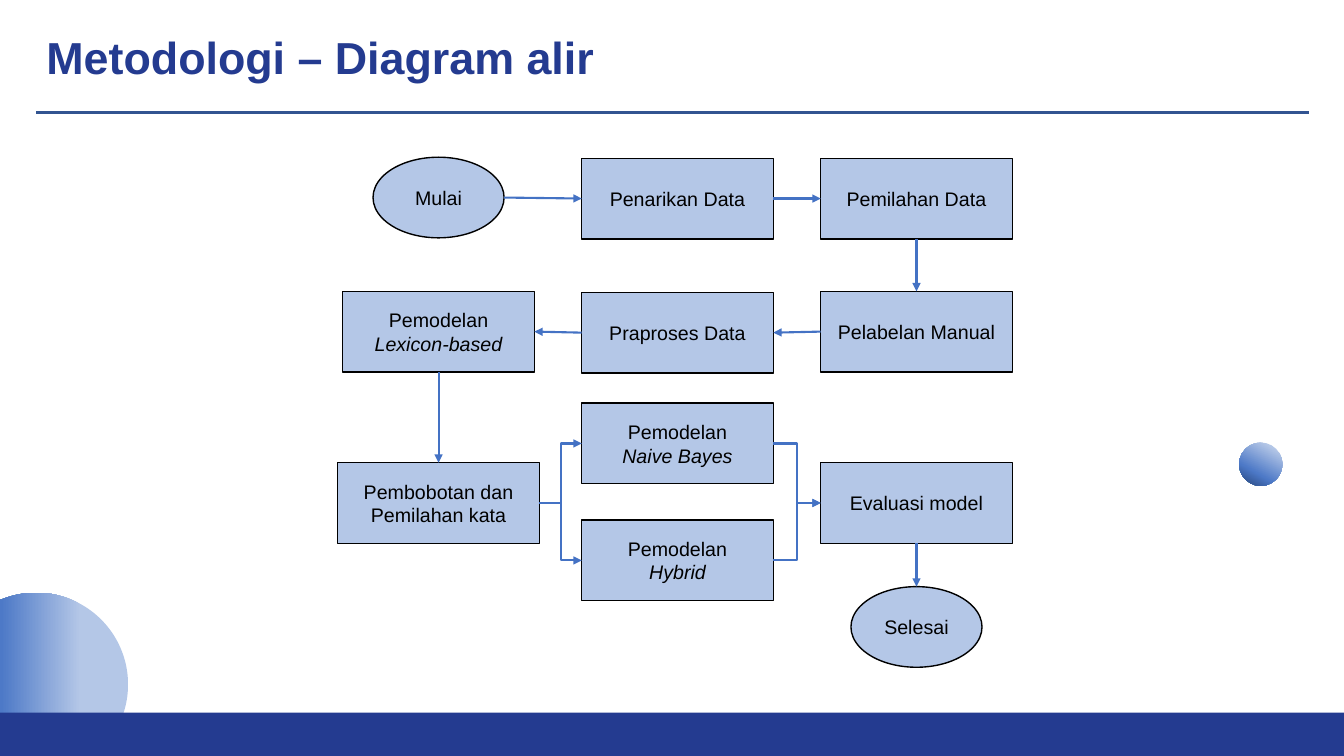
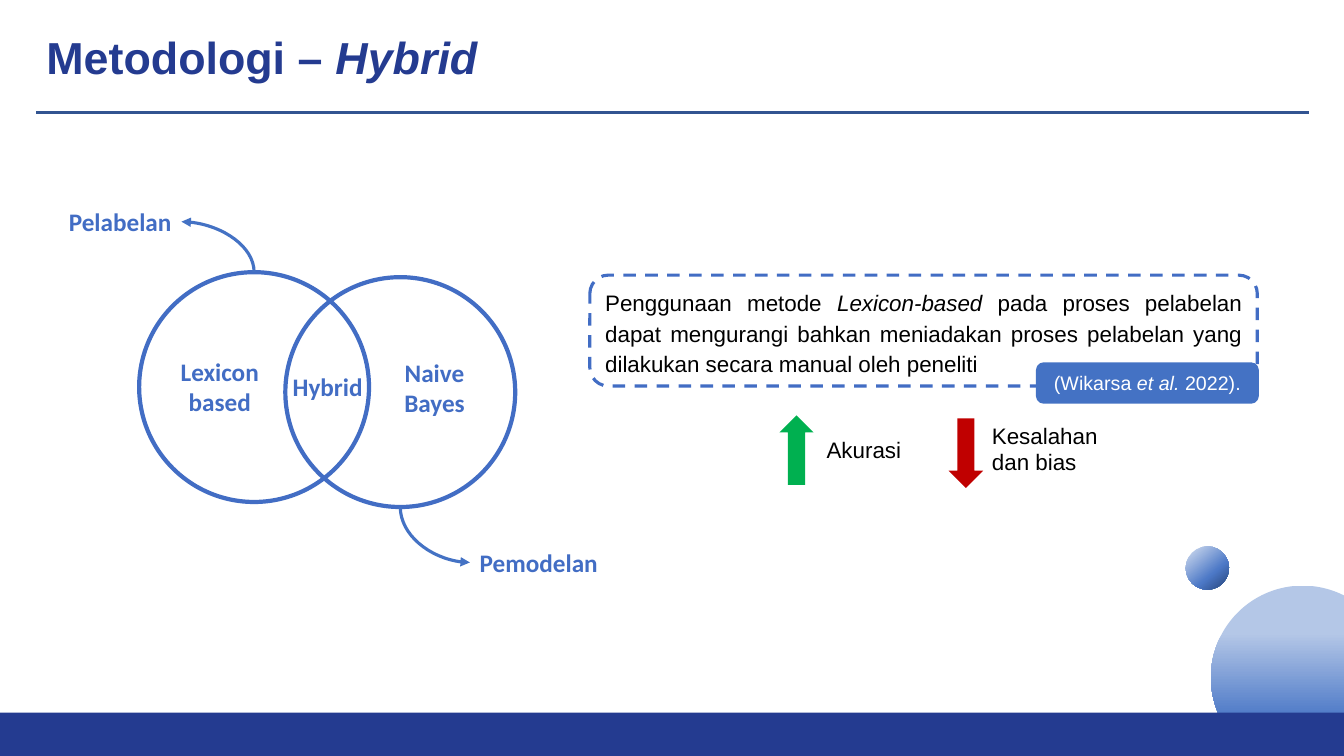
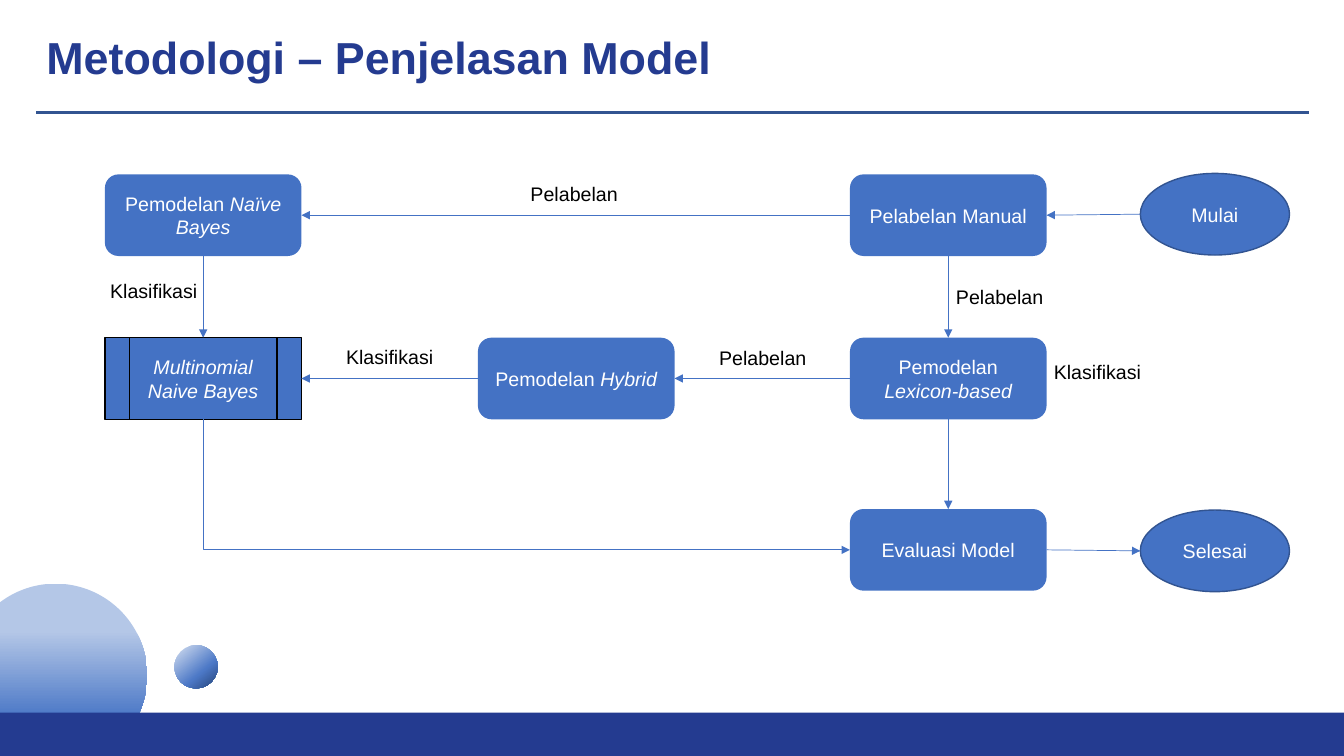
from copy import deepcopy

from pptx import Presentation
from pptx.dml.color import RGBColor
from pptx.enum.dml import MSO_LINE
from pptx.enum.shapes import MSO_CONNECTOR, MSO_SHAPE
from pptx.enum.text import MSO_ANCHOR, MSO_AUTO_SIZE, PP_ALIGN
from pptx.oxml.ns import qn
from pptx.oxml.xmlchemy import OxmlElement
from pptx.util import Inches, Pt

COLORS = {
    "navy": "243B90", "rule": "325491", "blue": "4472C4", "venn": "426DC4",
    "pale": "B4C7E7", "mid": "4D79C7", "deep": "264478",
    "black": "000000", "white": "FFFFFF", "green": "00B050", "red": "C00000",
}
RGB = {name: RGBColor.from_string(value) for name, value in COLORS.items()}

# Side of a shape: connection index, then fractions of width and height
SIDES = {"top": (0, 0.5, 0), "left": (1, 0, 0.5),
         "bottom": (2, 0.5, 1), "right": (3, 1, 0.5)}


def write(shape, text, size=14, color="black", font="Arial", bold=False,
          align=PP_ALIGN.CENTER, anchor=MSO_ANCHOR.MIDDLE, spacing=None):
    """Fill a shape with text; *asterisks* mark italics, newlines paragraphs."""
    frame = shape.text_frame
    frame.word_wrap = True
    frame.auto_size = MSO_AUTO_SIZE.NONE
    frame.vertical_anchor = anchor
    italic = False
    for number, content in enumerate(text.split("\n")):
        para = frame.add_paragraph() if number else frame.paragraphs[0]
        para.alignment = align
        if spacing:
            para.line_spacing = spacing
        for index, piece in enumerate(content.split("*")):
            if piece:
                span = para.add_run()
                span.text = piece
                span.font.size = Pt(size)
                span.font.name = font
                span.font.bold = bold
                span.font.italic = index % 2 == 1
                span.font.color.rgb = RGB[color]


def add_box(page, kind, place, text="", fill=None, line=None, weight=1, **style):
    """Add a preset shape, or a text box when kind is None."""
    place = [Inches(value) for value in place]
    if kind is None:
        box = page.shapes.add_textbox(*place)
    else:
        box = page.shapes.add_shape(kind, *place)
        box.shadow.inherit = False
        if fill:
            box.fill.solid()
            box.fill.fore_color.rgb = RGB[fill]
        else:
            box.fill.background()
        if line:
            box.line.color.rgb = RGB[line]
            box.line.width = Pt(weight)
        else:
            box.line.fill.background()
    if text:
        write(box, text, **style)
    return box


deck = Presentation()
deck.slide_width = Inches(13.33)
deck.slide_height = Inches(7.5)
layout = deck.slide_layouts[5]
layout_title = layout.placeholders[0]
layout_title.left, layout_title.top = Inches(0.36), Inches(0.24)
layout_title.width, layout_title.height = Inches(12.62), Inches(0.64)

# Shared frame: title, decorative balls (left, top, stops, angle), rule, band
frames = [
    ("Metodologi – Diagram alir",
     (-0.55, 5.88, (26, 69, 100), 180), (12.29, 4.39, (16, 67, 100), 120)),
    ("Metodologi – *Hybrid*",
     (12.01, 5.81, (26, 72, 100), 90), (11.76, 5.42, (16, 63, 100), 50)),
    ("Metodologi – Penjelasan Model",
     (-0.36, 5.79, (26, 72, 100), 90), (1.73, 6.4, (16, 63, 100), 50)),
]
pages = []
for title, big_ball, small_ball in frames:
    page = deck.slides.add_slide(layout)
    write(page.shapes.title, title, size=32, color="navy", bold=True,
          align=PP_ALIGN.LEFT, anchor=MSO_ANCHOR.TOP)
    for (left, top, positions, angle), size in ((big_ball, 1.82), (small_ball, 0.43)):
        ball = add_box(page, MSO_SHAPE.OVAL, (left, top, size, size))
        ball.fill.gradient()
        ball.fill.gradient_angle = 360 - angle
        stop_list = ball.element.spPr.find(".//" + qn("a:gsLst"))
        stop_list.append(deepcopy(stop_list[-1]))
        for stop, position, color in zip(ball.fill.gradient_stops, positions,
                                         ("pale", "mid", "deep")):
            stop.position = position / 100
            stop.color.rgb = RGB[color]
    rule = page.shapes.add_connector(MSO_CONNECTOR.STRAIGHT, Inches(0.36), Inches(1.12),
                                     Inches(12.98), Inches(1.12))
    rule.line.color.rgb = RGB["rule"]
    rule.line.width = Pt(2.25)
    rule.element.spPr.append(OxmlElement("a:effectLst"))
    add_box(page, MSO_SHAPE.RECTANGLE, (0, 7.07, 13.33, 0.43), fill="navy")
    pages.append(page)
flow_page, hybrid_page, model_page = pages

# Slide 1: flow chart, centred on three columns
columns = (4.35, 6.72, 9.09)
flow_steps = [
    ("start", 0, 1.56, "Mulai"),
    ("collect", 1, 1.57, "Penarikan Data"),
    ("select", 2, 1.57, "Pemilahan Data"),
    ("label", 2, 2.89, "Pelabelan Manual"),
    ("prepare", 1, 2.9, "Praproses Data"),
    ("lexicon", 0, 2.89, "Pemodelan *Lexicon-based*"),
    ("weight", 0, 4.59, "Pembobotan dan\nPemilahan kata"),
    ("bayes", 1, 4, "Pemodelan\n*Naive Bayes*"),
    ("hybrid", 1, 5.16, "Pemodelan\n*Hybrid*"),
    ("evaluate", 2, 4.59, "Evaluasi model"),
    ("end", 2, 5.82, "Selesai"),
]
flow = {}
for name, column, top, text in flow_steps:
    kind = MSO_SHAPE.OVAL if name in ("start", "end") else MSO_SHAPE.RECTANGLE
    width = {"start": 1.3, "end": 1.3, "weight": 2}.get(name, 1.9)
    flow[name] = add_box(flow_page, kind, (columns[column] - width / 2, top, width, 0.8),
                         text, fill="pale", line="black")

# Slide 2: overlapping circles with labels
venn = {}
for name, left, top in (("lexicon", 1.38, 2.7), ("bayes", 2.83, 2.75)):
    venn[name] = add_box(hybrid_page, MSO_SHAPE.OVAL, (left, top, 2.28, 2.28),
                         line="venn", weight=3)
venn_labels = [
    ("lexicon text", 1.36, 3.48, 0.71, "Lexicon\nbased", PP_ALIGN.CENTER),
    ("bayes text", 3.49, 3.49, 0.71, "Naive\nBayes", PP_ALIGN.CENTER),
    ("hybrid text", 2.43, 3.63, 0.4, "Hybrid", PP_ALIGN.CENTER),
    ("labelling", 0.16, 2, 0.4, "Pelabelan", PP_ALIGN.RIGHT),
    ("modelling", 4.66, 5.38, 0.4, "Pemodelan", PP_ALIGN.LEFT),
]
for name, left, top, height, text, align in venn_labels:
    venn[name] = add_box(hybrid_page, None, (left, top, 1.64, height), text, size=18,
                         color="venn", font="Calibri", bold=True, align=align)

# Slide 2: statement, citation and effects
statement = add_box(
    hybrid_page, MSO_SHAPE.ROUNDED_RECTANGLE, (5.85, 2.73, 6.62, 1.1),
    "Penggunaan metode *Lexicon-based* pada proses pelabelan dapat mengurangi bahkan "
    "meniadakan proses pelabelan yang dilakukan secara manual oleh peneliti",
    line="venn", weight=2.25, size=16, align=PP_ALIGN.JUSTIFY,
    anchor=MSO_ANCHOR.TOP, spacing=1.14)
statement.line.dash_style = MSO_LINE.DASH
citation = add_box(hybrid_page, MSO_SHAPE.ROUNDED_RECTANGLE, (10.29, 3.61, 2.18, 0.38),
                   "(Wikarsa *et al.* 2022).", fill="blue", line="blue", weight=2.25,
                   color="white")
citation.text_frame.margin_left = citation.text_frame.margin_right = Inches(0.05)
effects = [
    (MSO_SHAPE.UP_ARROW, 7.73, 4.12, "green", (8.1, 4.26, 1.12, 0.41), "Akurasi"),
    (MSO_SHAPE.DOWN_ARROW, 9.41, 4.15, "red", (9.74, 4.13, 1.64, 0.64),
     "Kesalahan dan bias"),
]
for kind, left, top, color, place, text in effects:
    add_box(hybrid_page, kind, (left, top, 0.34, 0.69), fill=color)
    add_box(hybrid_page, None, place, text, size=16, align=PP_ALIGN.LEFT)

# Slide 3: model steps
model_steps = [
    ("label", 8.43, 1.73, "Pelabelan Manual"),
    ("lexicon", 8.43, 3.35, "Pemodelan *Lexicon-based*"),
    ("evaluate", 8.43, 5.05, "Evaluasi Model"),
    ("hybrid", 4.74, 3.35, "Pemodelan *Hybrid*"),
    ("bayes", 1.04, 1.73, "Pemodelan *Naïve Bayes*"),
    ("multinomial", 1.04, 3.35, "*Multinomial Naive Bayes*"),
    ("start", 11.31, 1.72, "Mulai"),
    ("end", 11.31, 5.06, "Selesai"),
]
model_looks = {
    "multinomial": (MSO_SHAPE.FLOWCHART_PREDEFINED_PROCESS, 1.95, "black"),
    "start": (MSO_SHAPE.OVAL, 1.48, "rule"),
    "end": (MSO_SHAPE.OVAL, 1.48, "rule"),
}
model = {}
for name, left, top, text in model_steps:
    kind, width, line = model_looks.get(name, (MSO_SHAPE.ROUNDED_RECTANGLE, 1.95, None))
    model[name] = add_box(model_page, kind, (left, top, width, 0.81), text,
                          fill="blue", line=line, color="white")
for left, top, text in ((4.72, 1.75, "Pelabelan"), (8.94, 2.77, "Pelabelan"),
                        (6.59, 3.38, "Pelabelan"), (9.91, 3.52, "Klasifikasi"),
                        (2.89, 3.37, "Klasifikasi"), (0.55, 2.71, "Klasifikasi")):
    add_box(model_page, None, (left, top, 1.95, 0.34), text)

# Arrows: route, from shape and side, to shape and side
flow_arrows = [
    ("straight", "start", "right", "collect", "left"),
    ("straight", "collect", "right", "select", "left"),
    ("straight", "select", "bottom", "label", "top"),
    ("straight", "label", "left", "prepare", "right"),
    ("straight", "prepare", "left", "lexicon", "right"),
    ("straight", "lexicon", "bottom", "weight", "top"),
    ("elbow", "weight", "right", "bayes", "left"),
    ("elbow", "weight", "right", "hybrid", "left"),
    ("elbow", "bayes", "right", "evaluate", "left"),
    ("elbow", "hybrid", "right", "evaluate", "left"),
    ("straight", "evaluate", "bottom", "end", "top"),
]
venn_arrows = [
    ("curve", "lexicon", "top", "labelling", "right"),
    ("curve", "bayes", "bottom", "modelling", "left"),
]
model_arrows = [
    ("straight", "start", "left", "label", "right"),
    ("straight", "label", "left", "bayes", "right"),
    ("straight", "label", "bottom", "lexicon", "top"),
    ("straight", "bayes", "bottom", "multinomial", "top"),
    ("straight", "lexicon", "left", "hybrid", "right"),
    ("straight", "hybrid", "left", "multinomial", "right"),
    ("straight", "lexicon", "bottom", "evaluate", "top"),
    ("corner", "multinomial", "bottom", "evaluate", "left"),
    ("straight", "evaluate", "right", "end", "left"),
]
routes = {"straight": MSO_CONNECTOR.STRAIGHT, "elbow": MSO_CONNECTOR.ELBOW,
          "corner": MSO_CONNECTOR.ELBOW, "curve": MSO_CONNECTOR.CURVE}
for page, shapes, arrows, weight in ((flow_page, flow, flow_arrows, 1.5),
                                     (hybrid_page, venn, venn_arrows, 2.25),
                                     (model_page, model, model_arrows, 0.5)):
    for route, source, source_side, target, target_side in arrows:
        ends = ((shapes[source], SIDES[source_side]), (shapes[target], SIDES[target_side]))
        (x1, y1), (x2, y2) = [
            (int(box.left + across * box.width), int(box.top + down * box.height))
            for box, (_, across, down) in ends]
        arrow = page.shapes.add_connector(routes[route], x1, y1, x2, y2)
        for (box, side), join in zip(ends, (arrow.begin_connect, arrow.end_connect)):
            if route != "curve" and box.auto_shape_type != MSO_SHAPE.OVAL:
                join(box, side[0])
        arrow.line.color.rgb = RGB["blue"]
        arrow.line.width = Pt(weight)
        properties = arrow.element.spPr
        head = OxmlElement("a:tailEnd")
        head.set("type", "triangle")
        properties.find(qn("a:ln")).append(head)
        properties.append(OxmlElement("a:effectLst"))

        # A single turn that starts vertically is a quarter-turned connector
        if route in ("corner", "curve"):
            width, height = abs(x2 - x1), abs(y2 - y1)
            arrow.left = (x1 + x2 - height) // 2
            arrow.top = (y1 + y2 - width) // 2
            arrow.width, arrow.height = height, width
            transform = properties.find(qn("a:xfrm"))
            transform.set("rot", str(270 * 60000))
            transform.set("flipH", str(int(y2 > y1)))
            transform.set("flipV", str(int(x2 < x1)))
            preset = "bentConnector2" if route == "corner" else "curvedConnector2"
            properties.find(qn("a:prstGeom")).set("prst", preset)

deck.save("out.pptx")
